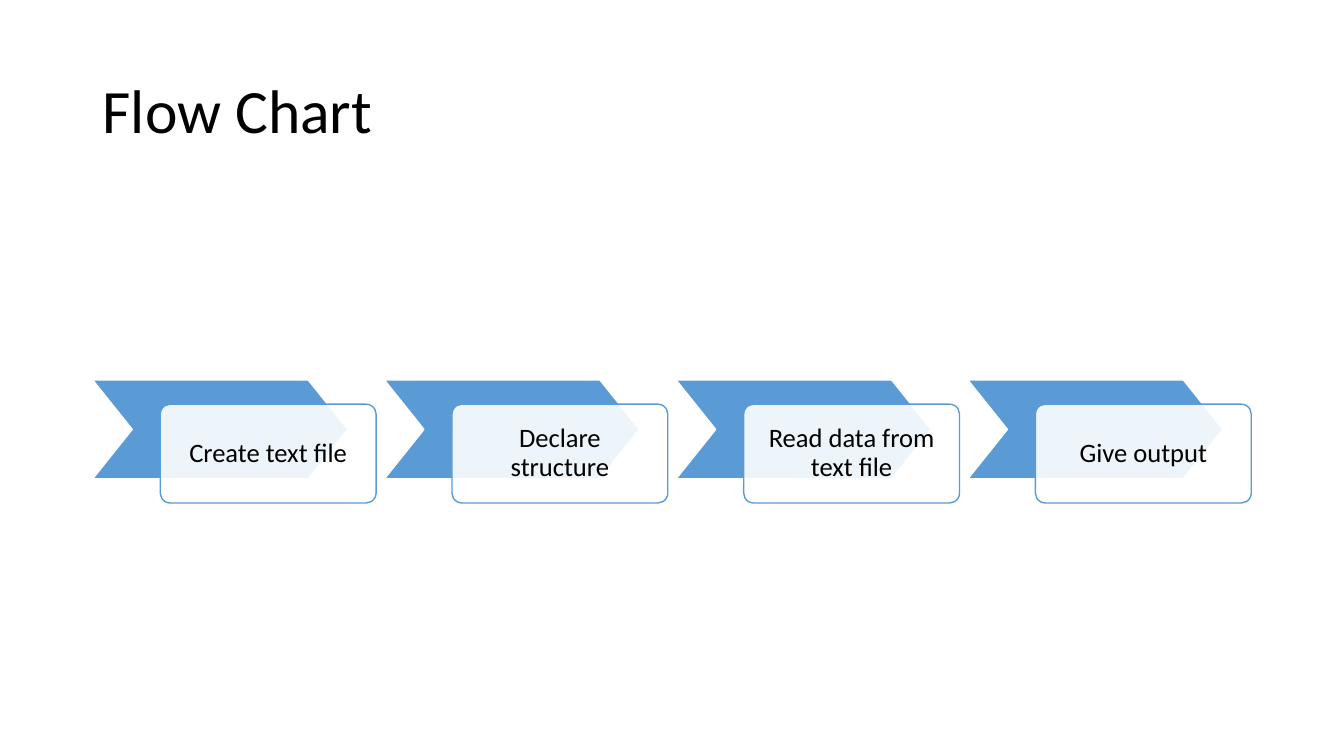
from lxml import etree
from pptx import Presentation
from pptx.dml.color import RGBColor
from pptx.enum.shapes import MSO_SHAPE as Shape
from pptx.enum.text import MSO_ANCHOR as Anchor, PP_ALIGN as Align
from pptx.oxml.ns import qn
from pptx.util import Inches, Pt

BLUE = "5B9BD5"
WHITE = "FFFFFF"
BLACK = "000000"
STEPS = ["Create text file", "Declare structure", "Read data from text file", "Give output"]
LEFT = 0.92
PITCH = (9.6 - LEFT) / (len(STEPS) - 1)


def color(code):
    return RGBColor.from_string(code)


def write(frame, text, size, align):
    frame.word_wrap = True
    frame.vertical_anchor = Anchor.MIDDLE
    para = frame.paragraphs[0]
    para.text = text
    para.alignment = align
    para.line_spacing = 0.9
    para.font.name = "Calibri"
    para.font.size = Pt(size)
    para.font.color.rgb = color(BLACK)


def add_title(slide, text):
    box = slide.shapes.add_textbox(Inches(LEFT), Inches(0.4), Inches(11.5), Inches(1.45))
    write(box.text_frame, text, 44, Align.LEFT)


def add_block(slide, kind, left, top, width, adjust, fill, line):
    block = slide.shapes.add_shape(kind, Inches(left), Inches(top), Inches(width), Inches(0.98))
    block.adjustments[0] = adjust
    block.shadow.inherit = False
    block.fill.solid()
    block.fill.fore_color.rgb = color(fill)
    block.line.color.rgb = color(line)
    block.line.width = Pt(1)
    return block


def set_alpha(shape, percent):
    tint = shape.fill._xPr.find(qn("a:solidFill"))[0]
    etree.SubElement(tint, qn("a:alpha"), val=str(percent * 1000))


def add_step(slide, left, text):
    add_block(slide, Shape.CHEVRON, left, 3.77, 2.53, 0.4, BLUE, WHITE)
    card = add_block(slide, Shape.ROUNDED_RECTANGLE, left + 0.67, 4.01, 2.14, 0.1, WHITE, BLUE)
    set_alpha(card, 90)
    frame = card.text_frame
    frame.margin_left = frame.margin_right = Inches(0.15)
    frame.margin_top = frame.margin_bottom = Inches(0.15)
    write(frame, text, 19, Align.CENTER)


def main():
    deck = Presentation()
    deck.slide_width = Inches(13.33)
    deck.slide_height = Inches(7.5)
    slide = deck.slides.add_slide(deck.slide_layouts[6])
    add_title(slide, "Flow Chart")
    for index, text in enumerate(STEPS):
        add_step(slide, LEFT + index * PITCH, text)
    deck.save("out.pptx")


if __name__ == "__main__":
    main()
